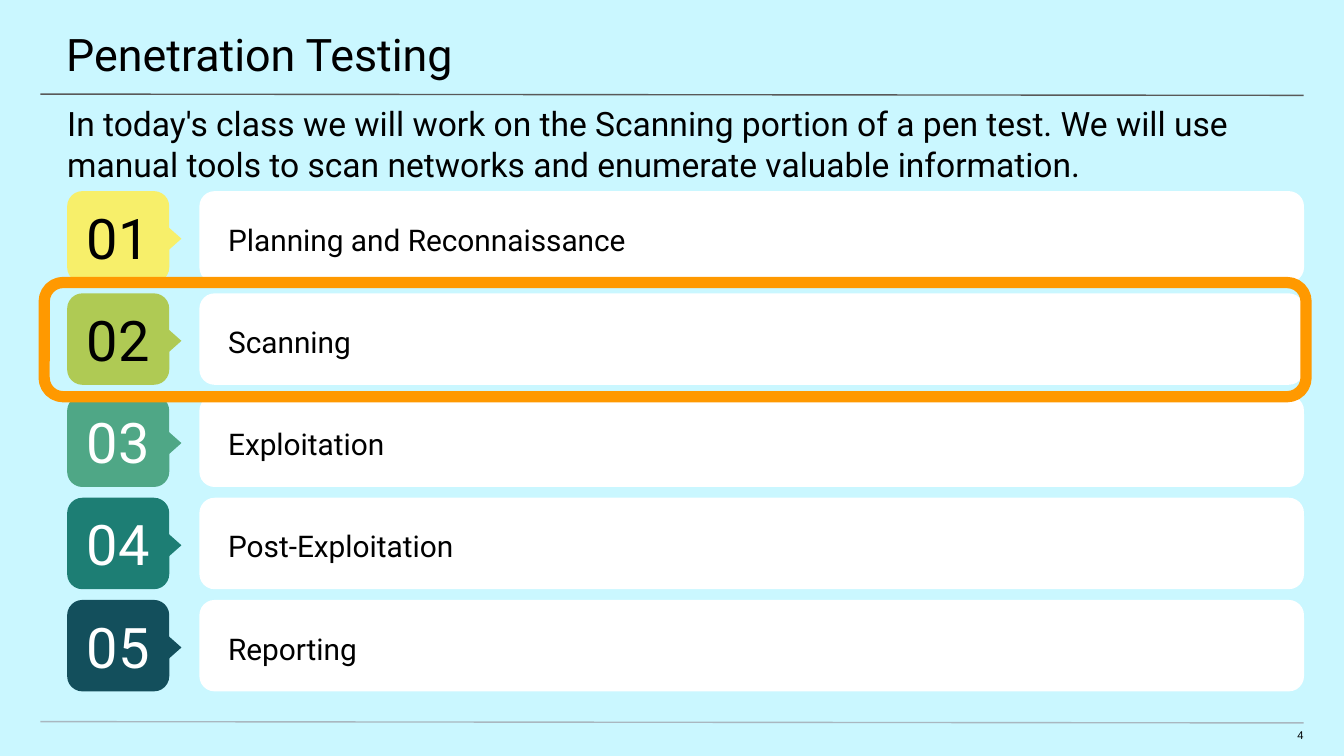
from pptx import Presentation
from pptx import util as u
from pptx.dml.color import RGBColor
from pptx.enum import shapes, text
from pptx.oxml import parse_xml
from pptx.oxml.ns import nsdecls

Pt = u.Pt
SKY = RGBColor(0xCA, 0xF7, 0xFF)
BLACK = RGBColor(0, 0, 0)
WHITE = RGBColor(0xFF, 0xFF, 0xFF)
GRAY = RGBColor(0x59, 0x59, 0x59)
SILVER = RGBColor(0xA9, 0xB7, 0xC0)
ORANGE = RGBColor(0xFF, 0x99, 0x00)
YELLOW = RGBColor(0xF7, 0xEF, 0x6A)
LIME = RGBColor(0xAF, 0xCA, 0x54)
GREEN = RGBColor(0x4F, 0xA7, 0x86)
TEAL = RGBColor(0x1D, 0x7E, 0x74)
NAVY = RGBColor(0x13, 0x4F, 0x5C)

STAGES = [
    ("Planning and Reconnaissance", YELLOW, BLACK),
    ("Scanning", LIME, BLACK),
    ("Exploitation", GREEN, WHITE),
    ("Post-Exploitation", TEAL, WHITE),
    ("Reporting", NAVY, WHITE),
]
ROW_HEIGHT = 49
ROW_PITCH = 54.75


def write_text(box, words, size, color=BLACK, font="Roboto", insets=(0, 0, 0, 0),
               align=text.PP_ALIGN.LEFT, anchor=text.MSO_ANCHOR.TOP, spacing=1.0):
    frame = box.text_frame
    frame.word_wrap = True
    frame.vertical_anchor = anchor
    left, top, right, bottom = insets
    frame.margin_left, frame.margin_top = Pt(left), Pt(top)
    frame.margin_right, frame.margin_bottom = Pt(right), Pt(bottom)
    para = frame.paragraphs[0]
    para.alignment = align
    para.line_spacing = spacing
    span = para.add_run()
    span.text = words
    span.font.name = font
    span.font.size = Pt(size)
    span.font.color.rgb = color


def add_label(page, left, top, width, height, words, size, **style):
    box = page.shapes.add_textbox(Pt(left), Pt(top), Pt(width), Pt(height))
    write_text(box, words, size, **style)


def add_block(page, kind, left, top, width, height, fill=None, line=None, weight=0):
    block = page.shapes.add_shape(kind, Pt(left), Pt(top), Pt(width), Pt(height))
    block.shadow.inherit = False
    if fill is None:
        block.fill.background()
    else:
        block.fill.solid()
        block.fill.fore_color.rgb = fill
    if line is None:
        block.line.fill.background()
    else:
        block.line.color.rgb = line
        block.line.width = Pt(weight)
    return block


def add_rule(page, left, top, width, color):
    rule = page.shapes.add_connector(shapes.MSO_CONNECTOR.STRAIGHT, Pt(left), Pt(top),
                                     Pt(left + width), Pt(top + 0.7))
    rule.line.color.rgb = color
    rule.line.width = Pt(0.75)
    rule._element.spPr.append(parse_xml(f"<a:effectLst {nsdecls('a')}/>"))


def add_header(page, left, top, width):
    add_rule(page, left + 21.6, top + 50.4, width - 43.2, GRAY)
    add_label(page, left, top, width, 42, "Penetration Testing", 24,
              insets=(35.5, 14.4, 21.6, 7.2))
    add_label(page, left, top + 48.2, width, 29,
              "In today's class we will work on the Scanning portion of a pen test. "
              "We will use manual tools to scan networks and enumerate valuable information.",
              18, insets=(36, 7.2, 36, 0))


def add_badge(page, left, top, width, height, number, fill, color):
    badge = add_block(page, shapes.MSO_SHAPE.ROUNDED_RECTANGLE, left, top, width, height, fill)
    write_text(badge, f"{number:02d}", 30, color=color, insets=(7.2,) * 4,
               align=text.PP_ALIGN.CENTER, anchor=text.MSO_ANCHOR.MIDDLE)
    base, depth = 26.6, 15
    pointer = add_block(page, shapes.MSO_SHAPE.FLOWCHART_EXTRACT, left + width - 1 - base / 2,
                        top + height / 2 + 1 - depth / 2, base, depth, fill)
    pointer.rotation = 90


def add_stage(page, left, top, width, height, number, words, fill, color):
    add_badge(page, left, top, 54.7, height, number, fill, color)
    bar_offset = 70.8
    add_block(page, shapes.MSO_SHAPE.ROUNDED_RECTANGLE, left + bar_offset, top,
              width - bar_offset, height, WHITE)
    add_label(page, left + bar_offset, top + 0.7, width - bar_offset, height - 1.5, words, 16,
              insets=(15.4, 0, 14, 0), anchor=text.MSO_ANCHOR.MIDDLE, spacing=1.15)


def add_stages(page, left, top, width, active):
    for index, (words, fill, color) in enumerate(STAGES):
        add_stage(page, left, top + index * ROW_PITCH, width, ROW_HEIGHT,
                  index + 1, words, fill, color)
    active_top = top + (active - 1) * ROW_PITCH
    add_block(page, shapes.MSO_SHAPE.ROUNDED_RECTANGLE, left - 12.3, active_top - 5.8,
              width + 13.4, ROW_HEIGHT + 12.2, line=ORANGE, weight=6)


def add_footer(page, left, top, width, number):
    add_rule(page, left, top, width, SILVER)
    add_label(page, left + width - 21, top + 3.6, 21, 8.6, str(number), 6, font="Arial",
              insets=(0, 0, 0, 7.2), align=text.PP_ALIGN.RIGHT)


def main():
    deck = Presentation()
    deck.slide_width, deck.slide_height = Pt(720), Pt(405)
    page = deck.slides.add_slide(deck.slide_layouts[6])
    page.background.fill.solid()
    page.background.fill.fore_color.rgb = SKY
    add_header(page, 0, 0, 720)
    add_stages(page, 36, 102.4, 662.6, active=2)
    add_footer(page, 21.6, 386.6, 676.8, 4)
    deck.save("out.pptx")


if __name__ == "__main__":
    main()
